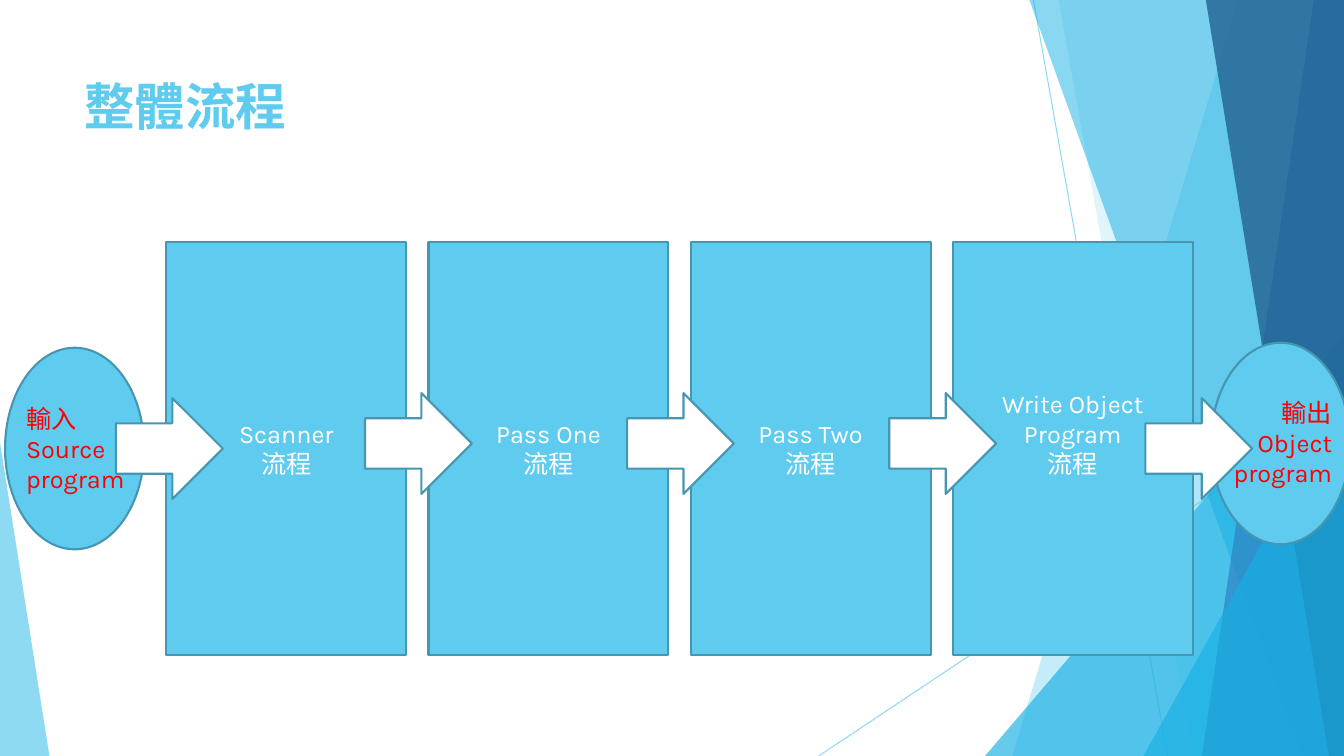
from lxml.etree import SubElement
from pptx import Presentation
from pptx.dml.color import RGBColor
from pptx.enum.shapes import MSO_CONNECTOR, MSO_SHAPE
from pptx.enum.text import MSO_ANCHOR, PP_ALIGN
from pptx.oxml.ns import qn
from pptx.util import Inches, Pt

TITLE = ["整體流程"]
STEPS = [
    ["Scanner", "流程"],
    ["Pass One", "流程"],
    ["Pass Two", "流程"],
    ["Write Object Program", "流程"],
]
INPUT = ["輸入", "Source", "program"]
OUTPUT = ["輸出", "Object program"]

HUES = {"sky": "5FCBEF", "cyan": "17B0E4", "blue": "2E83C3", "navy": "226292",
        "edge": "4696B1", "white": "FFFFFF", "red": "FF0000"}

# The grid has cells of one inch.
WIDE, HIGH = 13.33, 7.5
RAYS = [((10.25, 0), (11.58, HIGH)), ((WIDE, 4.03), (8.12, HIGH))]
# Bands reach the right edge: x at the top, x at the bottom, hue, opacity.
# Peaks stand on the bottom edge: left, width, height, apex, hue, opacity.
DECOR = [
    ("band", 12.28, 10.04, "sky", 36),
    ("band", 10.5, 11.83, "sky", 20),
    ("peak", 9.77, 3.56, 4.17, 1, "cyan", 66),
    ("band", 10.21, 12.91, "cyan", 50),
    ("band", 13.03, 11.92, "blue", 70),
    ("band", 11.96, 13.18, "navy", 80),
    ("peak", 11.34, 1.99, 3.57, 1, "cyan", 66),
    ("peak", 0, 0.49, 3.11, 0, "sky", 70),
]
LEFT, TOP, PITCH = 1.65, 2.4, 2.6
BOX, OVAL, ARROW = (2.38, 4.1), (1.38, 2), (1.06, 1)
FIRST, MID, LOW = 3.62, 3.9, 3.95
LABEL = (1.43, 1.01)
LINE = 0.3

deck = Presentation()
deck.slide_width, deck.slide_height = Inches(WIDE), Inches(HIGH)
slide = deck.slides.add_slide(deck.slide_layouts[6])
shapes = slide.shapes


def tint(paint, hue, alpha=100):
    """Give a fill a solid colour with an opacity in percent."""
    paint.solid()
    paint.fore_color.rgb = RGBColor.from_string(HUES[hue])
    if alpha < 100:
        color = paint._xPr.find(qn("a:solidFill"))[0]
        SubElement(color, qn("a:alpha")).set("val", str(alpha * 1000))


def finish(shape, hue, alpha=100, edge=None):
    shape.shadow.inherit = False
    tint(shape.fill, hue, alpha)
    if edge:
        tint(shape.line.fill, edge)
        shape.line.width = Pt(1.5)
    else:
        shape.line.fill.background()
    return shape


def add(kind, x, y, size, hue="sky"):
    shape = shapes.add_shape(kind, *map(Inches, (x, y, *size)))
    return finish(shape, hue, edge="edge")


def write(shape, lines, hue, align=PP_ALIGN.LEFT, anchor=MSO_ANCHOR.TOP,
          size=18, bold=False):
    frame = shape.text_frame
    frame.word_wrap = True
    frame.vertical_anchor = anchor
    frame.text = "\n".join(lines)
    style = {"name": "Karla", "size": Pt(size), "bold": bold}
    for para in frame.paragraphs:
        para.alignment = align
        for font in [run.font for run in para.runs]:
            for key, value in style.items():
                setattr(font, key, value)
            font.color.rgb = RGBColor.from_string(HUES[hue])


def label(x, y, area, *args, **style):
    write(shapes.add_textbox(*map(Inches, (x, y, *area))), *args, **style)


def band(top, base, hue, alpha):
    pen = shapes.build_freeform(Inches(top), 0)
    ends = [(WIDE, 0), (WIDE, HIGH), (base, HIGH)]
    pen.add_line_segments([tuple(map(Inches, end)) for end in ends])
    finish(pen.convert_to_shape(), hue, alpha)


def peak(x, width, height, apex, hue, alpha):
    shape = shapes.add_shape(MSO_SHAPE.ISOSCELES_TRIANGLE,
                             *map(Inches, (x, HIGH - height, width, height)))
    shape.adjustments[0] = apex
    finish(shape, hue, alpha)


for start, end in RAYS:
    ray = shapes.add_connector(MSO_CONNECTOR.STRAIGHT, *map(Inches, start + end))
    tint(ray.line.fill, "sky", 70)
    ray.line.width = Pt(0.75)
    SubElement(ray._element.spPr, qn("a:effectLst"))

for kind, *args in DECOR:
    {"band": band, "peak": peak}[kind](*args)

add(MSO_SHAPE.OVAL, 0.05, 3.45, OVAL)
label(0.74, 0.67, (9.4, 0.75), TITLE, "sky",
      anchor=MSO_ANCHOR.MIDDLE, size=36, bold=True)

for i, lines in enumerate(STEPS):
    box = add(MSO_SHAPE.RECTANGLE, LEFT + i * PITCH, TOP, BOX)
    write(box, lines, "white", PP_ALIGN.CENTER, MSO_ANCHOR.MIDDLE)
box.text_frame.margin_bottom = Inches(0.05 + LINE)

for i in range(len(STEPS) - 1):
    add(MSO_SHAPE.RIGHT_ARROW, FIRST + i * PITCH, MID, ARROW, "white")

add(MSO_SHAPE.RIGHT_ARROW, 1.15, LOW, ARROW, "white")
label(0.16, LOW, LABEL, INPUT, "red")
add(MSO_SHAPE.OVAL, 12.01, 3.4, OVAL)
add(MSO_SHAPE.RIGHT_ARROW, 11.36, LOW, ARROW, "white")
label(11.88, 3.89, LABEL, OUTPUT, "red", PP_ALIGN.RIGHT)

deck.save("out.pptx")
